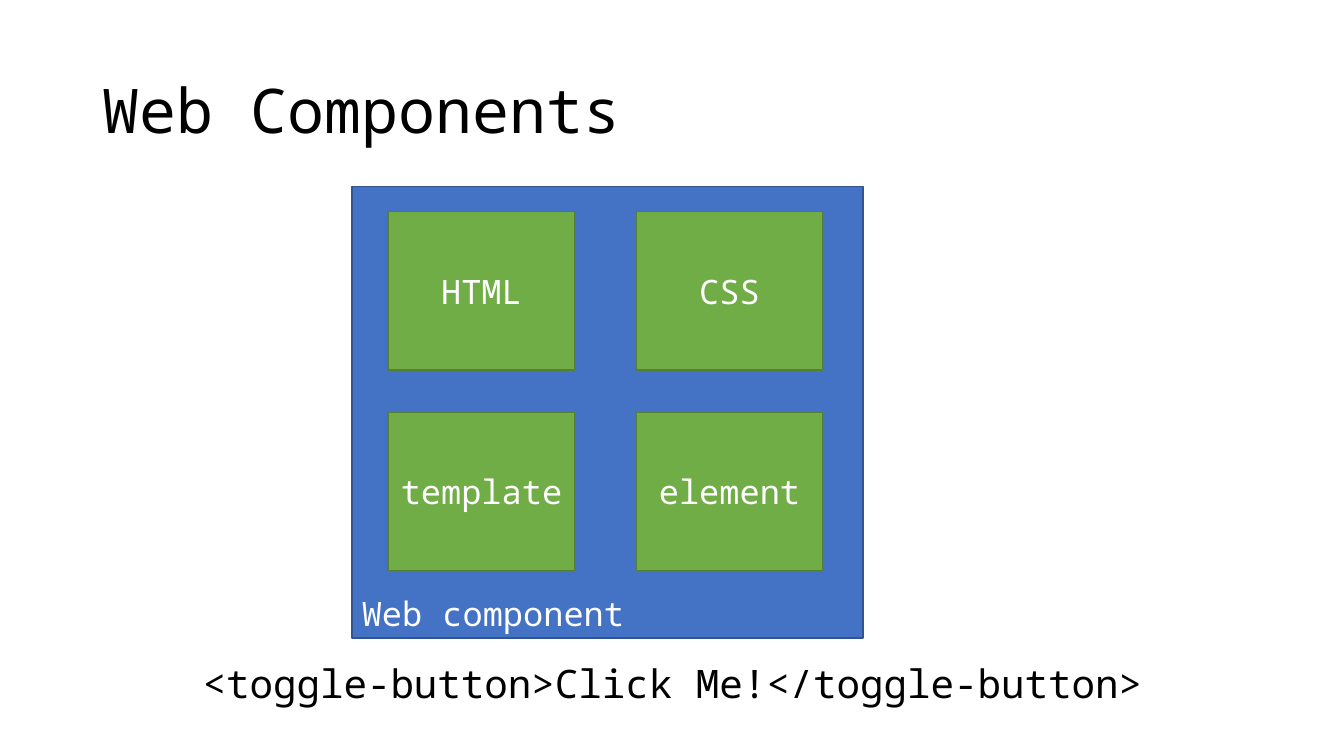
"""Build a slide showing the four parts of a web component."""
import pptx
import pptx.dml.color
import pptx.enum.shapes
import pptx.enum.text
import pptx.util

Inches = pptx.util.Inches
Pt = pptx.util.Pt
Align = pptx.enum.text.PP_ALIGN
Anchor = pptx.enum.text.MSO_ANCHOR


def tint(code):
    return pptx.dml.color.RGBColor.from_string(code)


def put(area, words, size, ink, align, anchor, fill=None, edge=None):
    box = [Inches(length) for length in area]
    if fill:
        shape = slide.shapes.add_shape(pptx.enum.shapes.MSO_SHAPE.RECTANGLE, *box)
        shape.shadow.inherit = False
        shape.fill.solid()
        shape.fill.fore_color.rgb = tint(fill)
        shape.line.color.rgb = tint(edge)
        shape.line.width = Pt(1)
    else:
        shape = slide.shapes.add_textbox(*box)
    frame = shape.text_frame
    frame.word_wrap = True
    frame.vertical_anchor = anchor
    para = frame.paragraphs[0]
    para.alignment = align
    run = para.add_run()
    run.text = words
    run.font.name = "Noto Sans Mono"
    run.font.size = Pt(size)
    run.font.color.rgb = tint(ink)
    return shape


deck = pptx.Presentation()
deck.slide_width = Inches(13.33)
deck.slide_height = Inches(7.5)
slide = deck.slides.add_slide(deck.slide_layouts[6])

title = put((0.92, 0.4, 11.5, 1.45), "Web Components", 44, "000000",
            Align.LEFT, Anchor.MIDDLE)
title.text_frame.paragraphs[0].line_spacing = 0.9

put((3.49, 1.85, 5.07, 4.48), "Web component", 24, "FFFFFF",
    Align.LEFT, Anchor.BOTTOM, "4472C4", "325491")

left, top = 3.85, 2.1
wide, high = 1.85, 1.57
across, down = 2.46, 1.99
parts = [["HTML", "CSS"], ["template", "element"]]
for row, names in enumerate(parts):
    for col, name in enumerate(names):
        put((left + col * across, top + row * down, wide, high), name, 24,
            "FFFFFF", Align.CENTER, Anchor.MIDDLE, "70AD47", "538035")

usage = put((1.91, 6.49, 9.52, 0.57), "<toggle-button>Click Me!</toggle-button>",
            28, "000000", Align.CENTER, Anchor.TOP)
usage.text_frame.auto_size = pptx.enum.text.MSO_AUTO_SIZE.SHAPE_TO_FIT_TEXT

deck.save("out.pptx")
